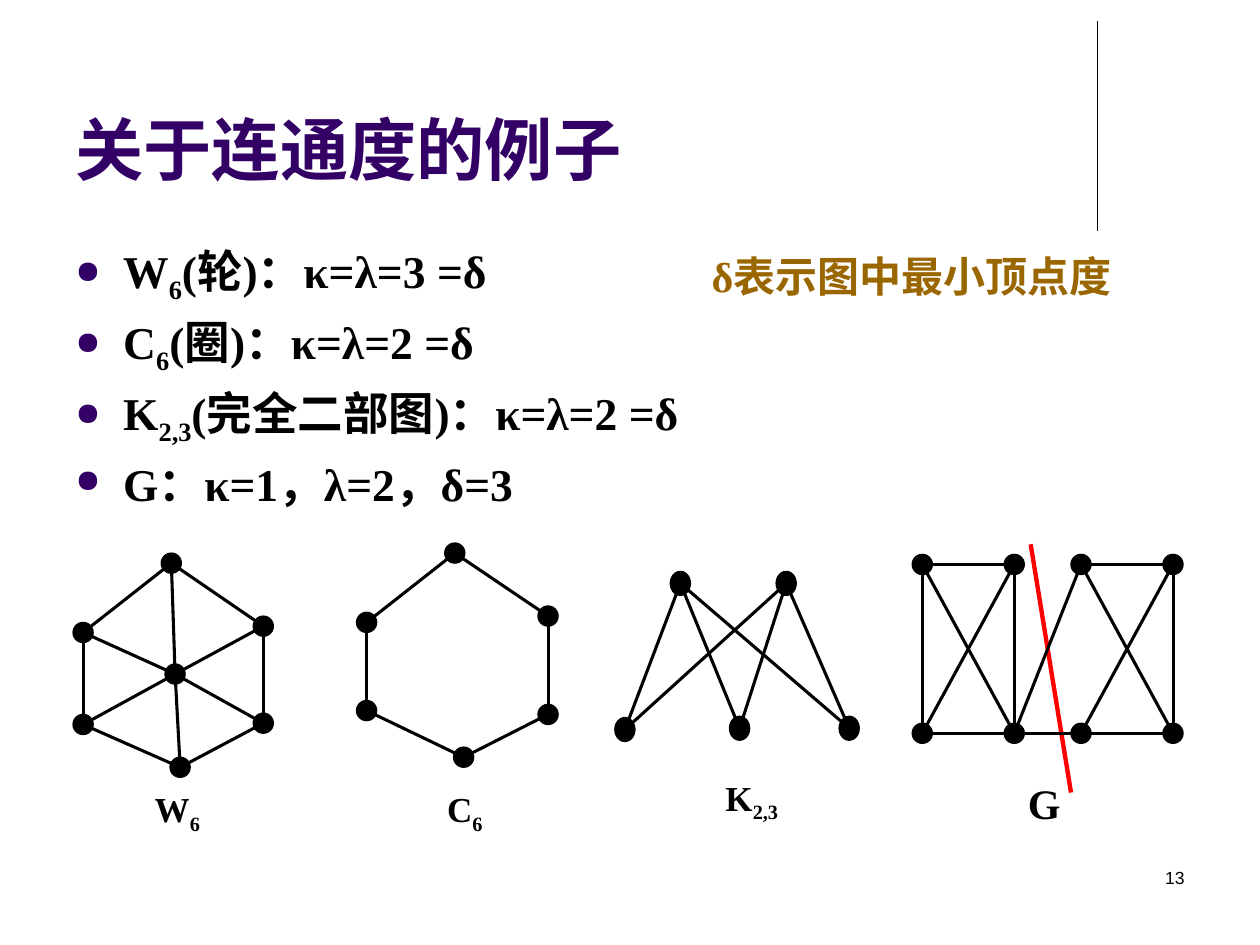
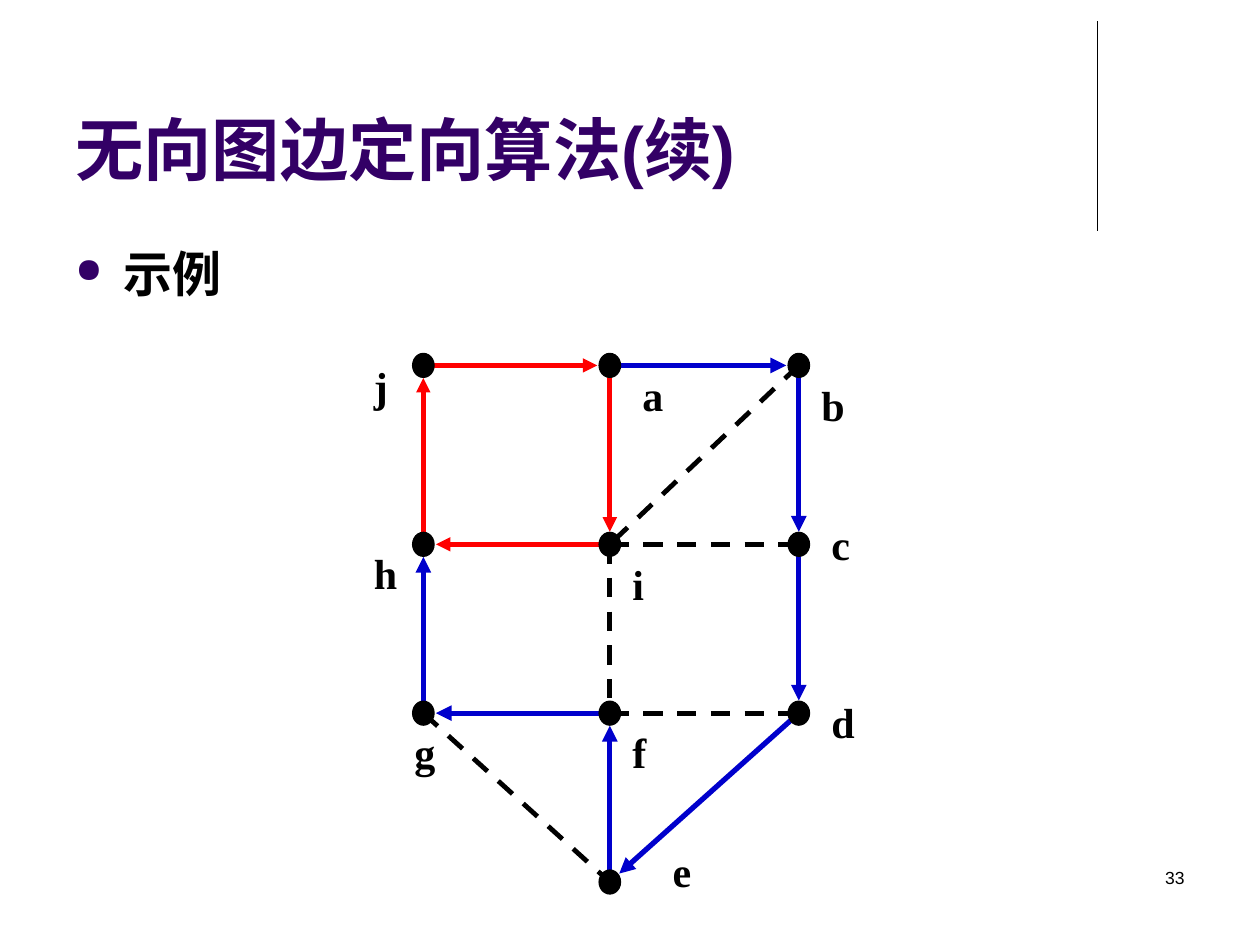
from dataclasses import dataclass
from math import hypot

from lxml import etree
from pptx import Presentation
from pptx.dml.color import RGBColor
from pptx.enum.dml import MSO_LINE
from pptx.enum.shapes import MSO_CONNECTOR, MSO_SHAPE
from pptx.enum.text import MSO_ANCHOR, PP_ALIGN
from pptx.oxml.ns import qn
from pptx.util import Inches, Pt

STRAIGHT = MSO_CONNECTOR.STRAIGHT
ROUND_NODE = MSO_SHAPE.FLOWCHART_CONNECTOR
OVAL_NODE = MSO_SHAPE.OVAL
DASH = MSO_LINE.DASH
TOP, BOTTOM = MSO_ANCHOR.TOP, MSO_ANCHOR.BOTTOM
LEFT, RIGHT = PP_ALIGN.LEFT, PP_ALIGN.RIGHT
COLUMNS, ROWS = 100, 75
BLANK_LAYOUT = 6


@dataclass(frozen=True)
class Theme:
    heading: str = "330066"
    ink: str = "000000"
    note: str = "996600"
    cycle: str = "FF0000"
    path_blue: str = "0000CC"
    sans: str = "Arial"
    serif: str = "Times New Roman"
    title_size: float = 39
    example_size: float = 28
    body_size: float = 26
    label_size: float = 24
    caption_size: float = 20
    number_size: float = 10
    bullet_gap: float = 5
    hairline: float = 0.75
    edge: float = 1.75
    cut: float = 2.5
    bold_edge: float = 2.75
    heavy_edge: float = 3


THEME = Theme()


def add_element(parent, tag, **attributes):
    return etree.SubElement(parent, qn(tag), **attributes)


def add_bullet(paragraph):
    properties = paragraph._p.get_or_add_pPr()
    properties.set("marL", str(Inches(0.38)))
    properties.set("indent", str(-Inches(0.38)))
    color = add_element(properties, "a:buClr")
    add_element(color, "a:srgbClr", val=THEME.heading)
    add_element(properties, "a:buSzPct", val="70000")
    add_element(properties, "a:buChar", char="●")


def write_text(paragraph, text, *, size, font=THEME.serif, color=THEME.ink, bold=True):
    """Write formatted runs; every second part between underscores is a subscript."""
    for index, part in enumerate(text.split("_")):
        run = paragraph.add_run()
        run.text = part
        run.font.size = Pt(size)
        run.font.name = font
        run.font.bold = bold
        run.font.color.rgb = RGBColor.from_string(color)
        if index % 2:
            run._r.get_or_add_rPr().set("baseline", "-25000")


class Deck:
    """Holds the style and the current slide; lengths are grid columns and rows."""

    def __init__(self):
        self.presentation = Presentation()
        self.presentation.slide_width = Inches(10)
        self.presentation.slide_height = Inches(7.5)
        self.slide = None

    def x(self, columns):
        return round(self.presentation.slide_width * columns / COLUMNS)

    def y(self, rows):
        return round(self.presentation.slide_height * rows / ROWS)

    def start_slide(self, title, number):
        layout = self.presentation.slide_layouts[BLANK_LAYOUT]
        self.slide = self.presentation.slides.add_slide(layout)
        self.line((87.1, 1.7), (87.1, 18.3), width=THEME.hairline)
        self.text([title], 5, 1.3, 82.5, 14.2, anchor=BOTTOM, size=THEME.title_size,
                  font=THEME.sans, color=THEME.heading)
        self.text([str(number)], 71.7, 68.3, 23.3, 5, align=RIGHT,
                  size=THEME.number_size, font=THEME.sans, bold=False)

    def text(self, lines, left, top, width, height, *, anchor=TOP, align=LEFT,
             bullets=False, **text_format):
        box = self.slide.shapes.add_textbox(self.x(left), self.y(top),
                                            self.x(width), self.y(height))
        frame = box.text_frame
        frame.word_wrap = True
        frame.vertical_anchor = anchor
        for index, line in enumerate(lines):
            paragraph = frame.add_paragraph() if index else frame.paragraphs[0]
            paragraph.alignment = align
            if bullets:
                add_bullet(paragraph)
            if index:
                paragraph.space_before = Pt(THEME.bullet_gap)
            write_text(paragraph, line, **text_format)

    def bullets(self, lines, height, **text_format):
        self.text(lines, 5, 18.8, 90, height, bullets=True, **text_format)

    def label(self, text, left, top, size=THEME.label_size):
        self.text([text], left, top, 7.4, 5, size=size)

    def line(self, start, end, *, color=THEME.ink, width=THEME.edge,
             dashed=False, arrow=False):
        connector = self.slide.shapes.add_connector(
            STRAIGHT, self.x(start[0]), self.y(start[1]), self.x(end[0]), self.y(end[1]))
        connector.line.color.rgb = RGBColor.from_string(color)
        connector.line.width = Pt(width)
        if dashed:
            connector.line.dash_style = DASH
        if arrow:
            add_element(connector.line._get_or_add_ln(), "a:tailEnd", type="triangle")
        add_element(connector._element.spPr, "a:effectLst")

    def node(self, center, width, height, kind):
        column, row = center
        shape = self.slide.shapes.add_shape(
            kind, self.x(column - width / 2), self.y(row - height / 2),
            self.x(width), self.y(height))
        shape.shadow.inherit = False
        shape.fill.solid()
        shape.fill.fore_color.rgb = RGBColor.from_string(THEME.ink)
        shape.line.color.rgb = RGBColor.from_string(THEME.ink)
        shape.line.width = Pt(THEME.hairline)

    def edges(self, nodes, pairs, gap=0, **line_format):
        """Join nodes named by letter pairs such as "ab bc", ending short by gap."""
        for first, second in pairs.split():
            (x1, y1), (x2, y2) = nodes[first], nodes[second]
            share = 1 - gap / hypot(x2 - x1, y2 - y1)
            end = (x1 + (x2 - x1) * share, y1 + (y2 - y1) * share)
            self.line((x1, y1), end, **line_format)

    def nodes(self, nodes, width=1.6, height=1.6, kind=ROUND_NODE):
        for center in nodes.values():
            self.node(center, width, height, kind)

    def graph(self, nodes, pairs, **node_format):
        self.edges(nodes, pairs)
        self.nodes(nodes, **node_format)


def build_connectivity_slide(deck):
    deck.start_slide("关于连通度的例子", 13)
    deck.bullets(["W_6_(轮)：κ=λ=3 =δ", "C_6_(圈)：κ=λ=2 =δ",
                  "K_2,3_(完全二部图)：κ=λ=2 =δ", "G：κ=1，λ=2，δ=3"],
                 21.8, size=THEME.body_size)
    deck.text(["δ表示图中最小顶点度"], 55.5, 19.4, 36, 5,
              size=THEME.label_size, color=THEME.note)

    rim = "ab bc cd de ef fa"
    wheel = {"a": (13.6, 44.7), "b": (6.6, 50.2), "c": (6.6, 57.5), "d": (14.3, 60.9),
             "e": (20.9, 57.4), "f": (20.9, 49.7), "o": (13.9, 53.5)}
    deck.graph(wheel, rim + " oa ob oc od oe of")
    deck.label("W_6", 11.3, 62, THEME.caption_size)

    cycle = {"a": (36.1, 43.9), "b": (29.1, 49.4), "c": (29.1, 56.4),
             "d": (36.8, 60.1), "e": (43.5, 56.7), "f": (43.5, 48.9)}
    deck.graph(cycle, rim)
    deck.label("C_6", 34.5, 62, THEME.caption_size)

    bipartite = {"a": (54, 46.3), "b": (62.4, 46.3),
                 "p": (49.6, 57.9), "q": (58.7, 57.8), "r": (67.4, 57.8)}
    deck.graph(bipartite, "ap aq ar bp bq br", height=1.9)
    deck.label("K_2,3", 56.6, 61.1, THEME.caption_size)

    columns = (73.2, 80.5, 85.8, 93.1)
    two_blocks = {name: (column, row)
                  for names, row in (("abcd", 44.8), ("pqrs", 58.2))
                  for name, column in zip(names, columns)}
    deck.line((81.8, 43.2), (85, 62.9), color=THEME.cycle, width=THEME.cut)
    deck.graph(two_blocks, "ab pq ap bq aq bp cd rs ds cs dr qc qr")
    deck.label("G", 80.6, 61.2)


def build_orientation_slide(deck):
    deck.start_slide("无向图边定向算法(续)", 33)
    deck.bullets(["示例"], 6.9, size=THEME.example_size, font=THEME.sans)

    left, middle, right = 33.6, 48.4, 63.4
    top, center, low, tip = 29, 43.2, 56.6, 70
    vertices = {"j": (left, top), "a": (middle, top), "b": (right, top),
                "h": (left, center), "i": (middle, center), "c": (right, center),
                "g": (left, low), "f": (middle, low), "d": (right, low),
                "e": (middle, tip)}
    deck.edges(vertices, "bi ic if fd ge", width=THEME.bold_edge, dashed=True)
    deck.edges(vertices, "ja ai ih hj", gap=1, color=THEME.cycle,
               width=THEME.bold_edge, arrow=True)
    deck.edges(vertices, "ab bc cd de ef fg gh", gap=1, color=THEME.path_blue,
               width=THEME.heavy_edge, arrow=True)
    deck.nodes(vertices, width=1.7, height=1.9, kind=OVAL_NODE)

    label_places = {"j": (28.7, 28.1), "a": (50, 28.8), "b": (64.2, 29.6),
                    "h": (28.7, 43), "i": (49.2, 43.8), "c": (65, 40.7),
                    "g": (31.9, 57.2), "f": (49.2, 57.2), "d": (65, 54.8),
                    "e": (52.4, 66.6)}
    for name, (column, row) in label_places.items():
        deck.label(name, column, row)


def main():
    deck = Deck()
    build_connectivity_slide(deck)
    build_orientation_slide(deck)
    deck.presentation.save("out.pptx")


if __name__ == "__main__":
    main()
